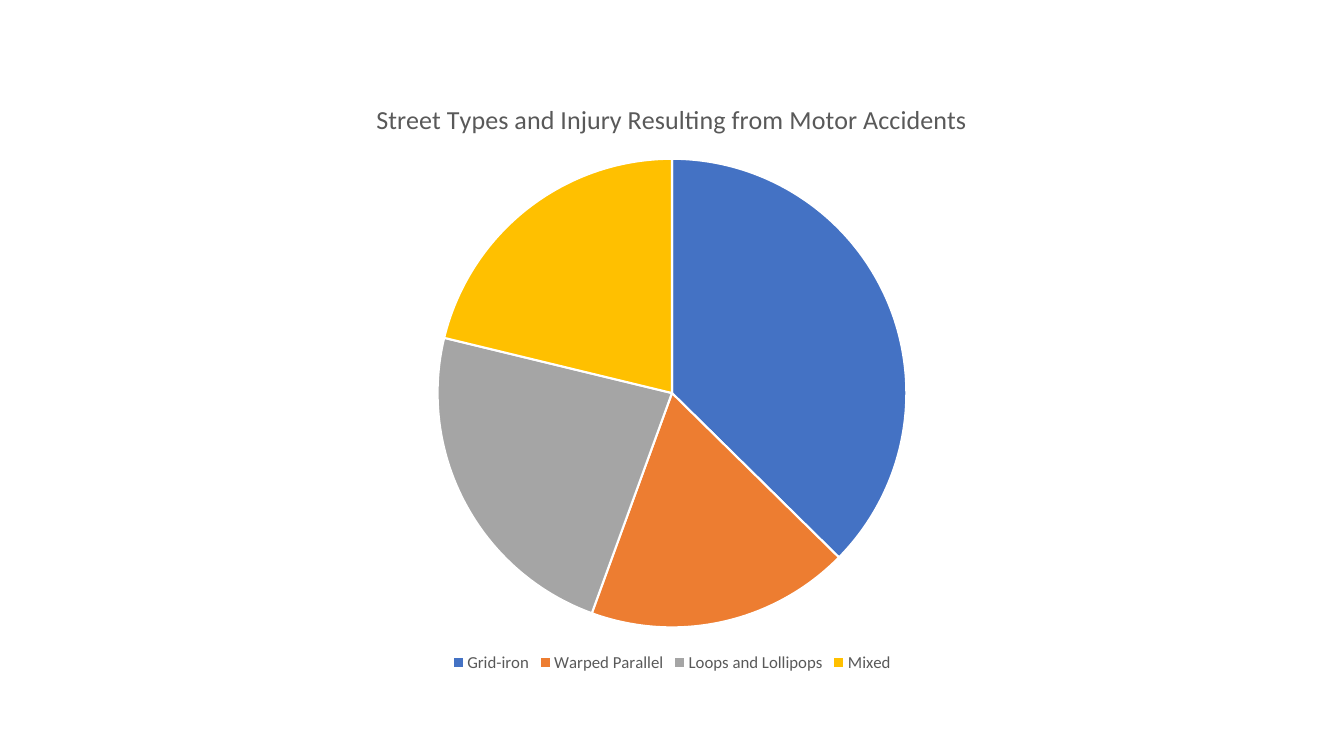
from dataclasses import dataclass

import pptx
import pptx.chart.data
import pptx.dml.color
import pptx.enum.chart
import pptx.util

WIDTH, HEIGHT = pptx.util.Inches(13.33), pptx.util.Inches(7.5)
TITLE = "Street Types and Injury Resulting from Motor Accidents"
FONT = "Calibri"
GREY = "595959"


@dataclass(frozen=True)
class StreetType:
    name: str
    share: int
    color: str


STREET_TYPES = [
    StreetType("Grid-iron", 37, "4472C4"),
    StreetType("Warped Parallel", 18, "ED7D31"),
    StreetType("Loops and Lollipops", 23, "A5A5A5"),
    StreetType("Mixed", 21, "FFC000"),
]


def rgb(color: str) -> pptx.dml.color.RGBColor:
    return pptx.dml.color.RGBColor.from_string(color)


def set_font(font, size: float, color: str) -> None:
    font.name = FONT
    font.size = pptx.util.Pt(size)
    font.bold = False
    font.color.rgb = rgb(color)


def add_pie(slide, street_types: list[StreetType]) -> None:
    data = pptx.chart.data.CategoryChartData()
    data.categories = [street.name for street in street_types]
    data.add_series(TITLE, [street.share for street in street_types])
    width, height = round(WIDTH * 2 / 3), round(HEIGHT * 0.79)
    chart = slide.shapes.add_chart(
        pptx.enum.chart.XL_CHART_TYPE.PIE,
        (WIDTH - width) // 2, (HEIGHT - height) // 2, width, height, data,
    ).chart
    set_font(chart.font, 10, "000000")

    chart.has_title = True
    tf = chart.chart_title.text_frame
    tf.text = TITLE
    set_font(tf.paragraphs[0].font, 18.6, GREY)
    chart.chart_title.include_in_layout = False

    chart.has_legend = True
    chart.legend.position = pptx.enum.chart.XL_LEGEND_POSITION.BOTTOM
    chart.legend.include_in_layout = False
    set_font(chart.legend.font, 12, GREY)

    plot = chart.plots[0]
    plot.vary_by_categories = True
    for i, street in enumerate(street_types):
        fmt = plot.series[0].points[i].format
        fmt.fill.solid()
        fmt.fill.fore_color.rgb = rgb(street.color)
        fmt.line.color.rgb = rgb("FFFFFF")
        fmt.line.width = pptx.util.Pt(1.5)


def main() -> None:
    """Build the slide with the pie of injuries by street type."""
    prs = pptx.Presentation()
    prs.slide_width, prs.slide_height = WIDTH, HEIGHT
    add_pie(prs.slides.add_slide(prs.slide_layouts[6]), STREET_TYPES)
    prs.save("out.pptx")


if __name__ == "__main__":
    main()
